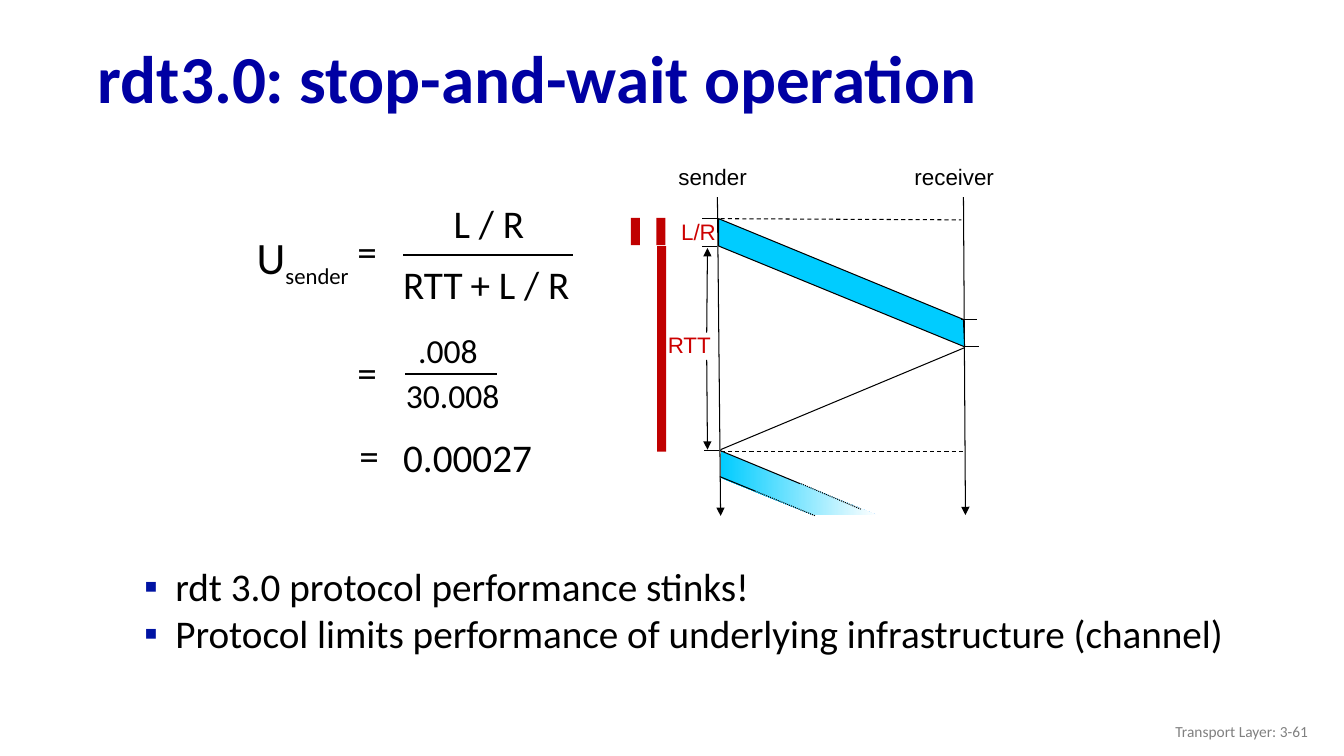
from lxml.etree import SubElement
from pptx import Presentation
from pptx.dml.color import RGBColor
from pptx.enum.dml import MSO_LINE
from pptx.enum.shapes import MSO_CONNECTOR, MSO_SHAPE
from pptx.enum.text import MSO_ANCHOR, PP_ALIGN
from pptx.oxml.ns import qn
from pptx.util import Cm, Pt

NAVY = RGBColor(0x00, 0x00, 0xA3)
BULLET_BLUE = RGBColor(0x00, 0x13, 0xA3)
BLACK = RGBColor(0x00, 0x00, 0x00)
WHITE = RGBColor(0xFF, 0xFF, 0xFF)
CYAN = RGBColor(0x00, 0xCC, 0xFF)
RED = RGBColor(0xCC, 0x00, 0x00)
DARK_RED = RGBColor(0xC0, 0x00, 0x00)
GREY = RGBColor(0x80, 0x80, 0x80)

EQUATION = {"name": "Calibri", "size": Pt(28)}
SMALL_EQUATION = {"name": "Calibri", "size": Pt(24)}
LABEL = {"name": "Arial", "size": Pt(16)}
RED_LABEL = {**LABEL, "color": RED}
FOOTER = {"name": "Calibri", "size": Pt(11), "color": GREY}
TITLE = {"name": "Calibri", "size": Pt(48), "bold": True, "color": NAVY}


class SlideBuilder:
    """Hold the style and the current slide; all positions are in cm."""

    def __init__(self, prs):
        """Add a title-only slide."""
        self.s = prs.slides.add_slide(prs.slide_layouts[5])

    def style(self, font, fmt):
        """Set font attributes from a dict, black by default."""
        for key, value in fmt.items():
            if key != "color":
                setattr(font, key, value)
        font.color.rgb = fmt.get("color", BLACK)

    def run(self, p, text, fmt):
        """Add a formatted run to a paragraph."""
        r = p.add_run()
        r.text = text
        self.style(r.font, fmt)
        return r

    def title(self, text, box):
        """Place and format the title placeholder."""
        sp = self.s.shapes.title
        sp.left, sp.top, sp.width, sp.height = map(Cm, box)
        tf = sp.text_frame
        tf.vertical_anchor = MSO_ANCHOR.MIDDLE
        p = tf.paragraphs[0]
        p.alignment, p.line_spacing = PP_ALIGN.LEFT, 0.9
        self.run(p, text, TITLE)

    def text(self, text, box, fmt, wrap=False, align=PP_ALIGN.LEFT,
             anchor=MSO_ANCHOR.TOP):
        """Add a one-line text box and return its paragraph."""
        tf = self.s.shapes.add_textbox(*map(Cm, box)).text_frame
        tf.word_wrap, tf.vertical_anchor = wrap, anchor
        p = tf.paragraphs[0]
        p.alignment = align
        self.run(p, text, fmt)
        return p

    def bullets(self, items, box, fmt):
        """Add a list with square bullets."""
        tf = self.s.shapes.add_textbox(*map(Cm, box)).text_frame
        tf.word_wrap = True
        for i, item in enumerate(items):
            p = tf.add_paragraph() if i else tf.paragraphs[0]
            self.run(p, item, fmt)
            pPr = p._p.get_or_add_pPr()
            pPr.set("marL", str(Cm(0.79)))
            pPr.set("indent", str(-Cm(0.79)))
            clr = SubElement(pPr, qn("a:buClr"))
            SubElement(clr, qn("a:srgbClr"), val=str(BULLET_BLUE))
            SubElement(pPr, qn("a:buFont"), typeface="Arial")
            SubElement(pPr, qn("a:buChar"), char="▪")

    def rect(self, box, color):
        """Add a filled rectangle without outline."""
        sp = self.s.shapes.add_shape(MSO_SHAPE.RECTANGLE, *map(Cm, box))
        sp.shadow.inherit = False
        sp.fill.solid()
        sp.fill.fore_color.rgb = color
        sp.line.fill.background()
        return sp

    def label(self, text, box):
        """Add a white rectangle with right-aligned text."""
        tf = self.rect(box, WHITE).text_frame
        tf.vertical_anchor = MSO_ANCHOR.TOP
        p = tf.paragraphs[0]
        p.alignment = PP_ALIGN.RIGHT
        self.run(p, text, LABEL)

    def line(self, ends, width=0.75, dash=None, arrow=False):
        """Add a black line, optionally dashed or with an arrowhead."""
        cx = self.s.shapes.add_connector(MSO_CONNECTOR.STRAIGHT,
                                         *map(Cm, ends))
        cx.line.color.rgb = BLACK
        cx.line.width = Pt(width)
        if dash:
            cx.line.dash_style = dash
        if arrow:
            SubElement(cx.line._get_or_add_ln(), qn("a:tailEnd"),
                       type="triangle")
        SubElement(cx._element.spPr, qn("a:effectLst"))

    def packet(self, points, fading=False):
        """Add a packet band, either outlined or fading to white."""
        start, *rest = [(Cm(x), Cm(y)) for x, y in points]
        builder = self.s.shapes.build_freeform(*start)
        builder.add_line_segments(rest, close=True)
        sp = builder.convert_to_shape()
        sp.shadow.inherit = False
        if fading:
            sp.fill.gradient()
            sp.fill.gradient_angle = 0
            for stop, color in zip(sp.fill.gradient_stops, (CYAN, WHITE)):
                stop.color.rgb = color
            sp.line.fill.background()
        else:
            sp.fill.solid()
            sp.fill.fore_color.rgb = CYAN
            sp.line.color.rgb = BLACK
            sp.line.width = Pt(0.75)


def draw_timeline(b):
    """Draw the sender and receiver timelines with their packets."""
    b.line((18.11, 5.54, 24.31, 8.1))
    for axis in ((18.08, 4.93, 18.16, 13), (24.28, 4.95, 24.33, 12.98)):
        b.line(axis, arrow=True)
    b.label("sender", (16.61, 3.99, 2.46, 0.97))
    b.label("receiver", (22.68, 3.99, 2.62, 0.97))
    for guide in ((18.16, 5.51, 24.23, 5.54), (18.16, 11.38, 24.26, 11.38)):
        b.line(guide, dash=MSO_LINE.DASH)
    b.line((18.16, 11.33, 24.31, 8.76))
    b.packet([(18.11, 5.51), (24.28, 8.05), (24.31, 8.74), (18.11, 6.2)])
    for x1, x2, y in ((18.06, 17.7, 5.51), (18.06, 17.7, 6.2),
                      (18.11, 17.73, 11.35), (24.61, 24.23, 8.05),
                      (24.31, 24.66, 8.74)):
        b.line((x1, y, x2, y))
    b.packet([(18.16, 11.38), (22.1, 12.98), (20.5, 12.98), (18.16, 12.04)],
             fading=True)
    for solid, dotted in (
            ((18.14, 11.35, 20.17, 12.19), (20.19, 12.19, 21.69, 12.83)),
            ((18.14, 12.01, 19.02, 12.37), (19.02, 12.37, 20.55, 13))):
        b.line(solid)
        b.line(dotted, dash=MSO_LINE.ROUND_DOT)


def draw_durations(b):
    """Draw the RTT and L/R marks beside the sender."""
    p = b.text("RTT", (15.9, 8.23, 2.36, 0.94), RED_LABEL, True,
               PP_ALIGN.RIGHT)
    b.run(p, " ", {"name": "Arial", "size": Pt(10)})
    for y1, y2 in ((9.07, 11.33), (8.38, 6.25)):
        b.line((17.81, y1, 17.83, y2), arrow=True)
    b.text("L/R", (15.93, 5.38, 2.36, 0.94), RED_LABEL, True, PP_ALIGN.RIGHT)
    for bar in ((16.56, 6.2, 0.23, 5.18), (16.54, 5.49, 0.23, 0.69),
                (15.9, 5.49, 0.23, 0.69)):
        b.rect(bar, DARK_RED)


def draw_equation(b):
    """Write the sender utilization formula and its result."""
    p = b.text("U", (6.22, 5.66, 3.1, 1.63), {**EQUATION, "size": Pt(32)})
    sub = b.run(p, "sender", EQUATION)
    sub._r.get_or_add_rPr().set("baseline", "-25000")
    for text, x, y, w in (("=", 8.76, 5.61, 1.02), ("L / R", 11.18, 4.9, 2.31),
                          ("RTT", 9.91, 6.43, 2.03),
                          ("+ L / R", 11.61, 6.43, 3.05),
                          ("=", 8.76, 8.64, 1.02), ("=", 8.81, 10.74, 1.02),
                          ("0.00027", 9.91, 10.8, 3.81)):
        b.text(text, (x, y, w, 1.45), EQUATION)
    b.text(".008", (10.29, 8.18, 2.03, 1.27), SMALL_EQUATION)
    b.text("30.008", (9.98, 9.32, 2.9, 1.27), SMALL_EQUATION)
    b.line((10.16, 6.43, 14.45, 6.43), width=1.75)
    b.line((10.21, 9.42, 12.52, 9.42), width=1.5)


prs = Presentation()
prs.slide_width, prs.slide_height = Cm(33.87), Cm(19.05)
b = SlideBuilder(prs)
b.title("rdt3.0: stop-and-wait operation", (2.21, 0.81, 30.84, 2.49))
draw_timeline(b)
draw_equation(b)
draw_durations(b)
b.bullets(["rdt 3.0 protocol performance stinks!",
           "Protocol limits performance of underlying infrastructure (channel)"],
          (3.38, 14.05, 28.32, 3.43), EQUATION)
b.text("Transport Layer: 3-61", (25.6, 17.91, 7.62, 1.02), FOOTER, True,
       PP_ALIGN.RIGHT, MSO_ANCHOR.MIDDLE)
prs.save("out.pptx")
